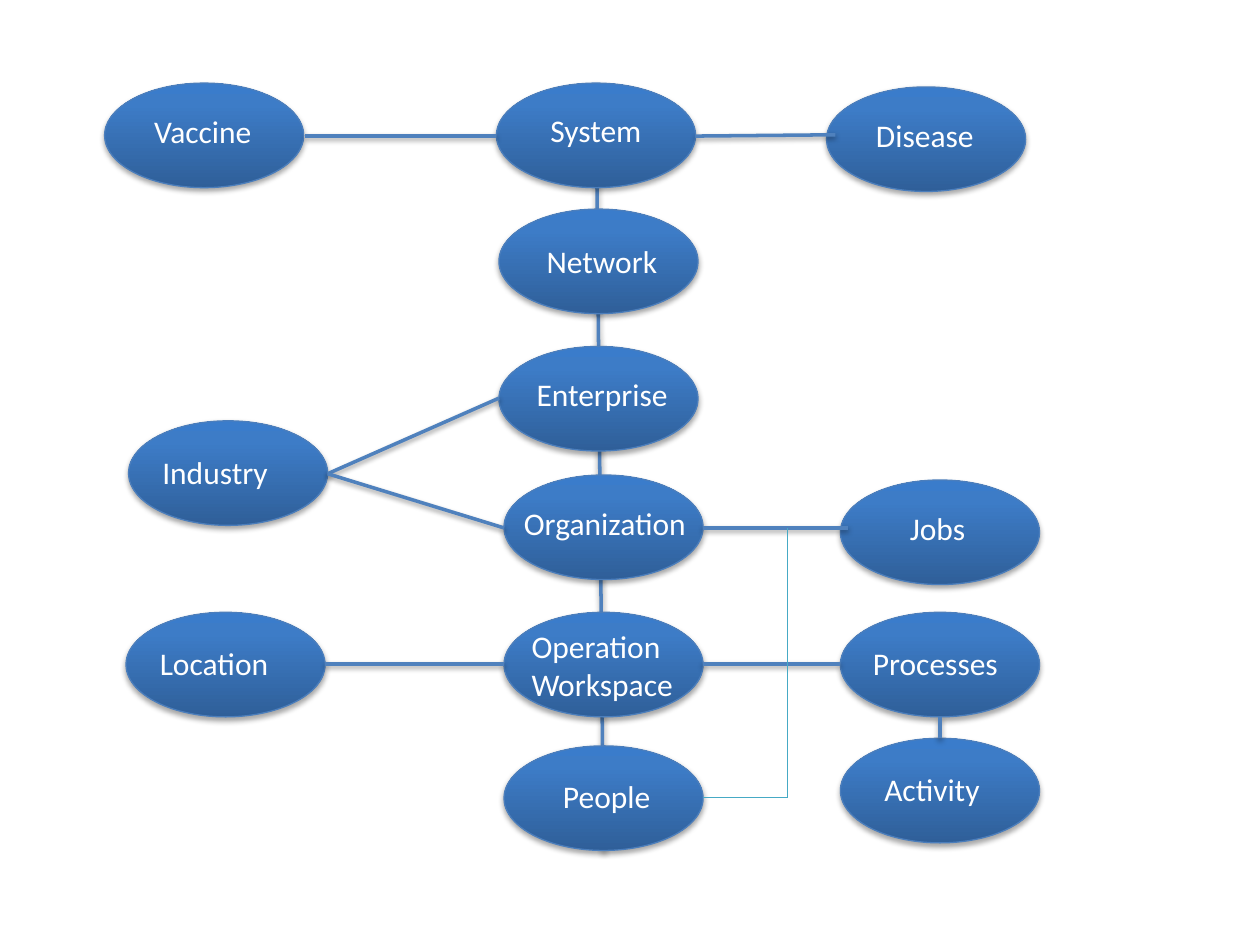
from lxml import etree
from pptx import Presentation
from pptx.dml.color import RGBColor
from pptx.enum.shapes import MSO_CONNECTOR as CONNECTOR, MSO_SHAPE as SHAPE
from pptx.enum.text import MSO_AUTO_SIZE as AUTO_SIZE, PP_ALIGN as ALIGN
from pptx.oxml import parse_xml
from pptx.oxml.ns import nsdecls, qn
from pptx.util import Inches, Pt

WHITE = RGBColor(0xFF, 0xFF, 0xFF)
BLACK = RGBColor(0x00, 0x00, 0x00)
OUTLINE = RGBColor(0x4B, 0x7E, 0xBC)
LINK = RGBColor(0x4F, 0x81, 0xBD)
THIN_LINK = RGBColor(0x46, 0xAA, 0xC5)
GRADIENT = [
    (0, RGBColor(0x2F, 0x5F, 0x99)),
    (80, RGBColor(0x3D, 0x7C, 0xC7)),
    (100, RGBColor(0x3A, 0x7C, 0xCB)),
]
NODE_W, NODE_H = 1.58, 0.83


def set_shadow(shape, distance=0, opacity=0):
    """Replace the theme effects with a downward shadow, or none at distance 0."""
    effects = etree.SubElement(shape._element.spPr, qn("a:effectLst"))
    if distance:
        effects.append(parse_xml(
            f'<a:outerShdw {nsdecls("a")} blurRad="{Pt(3.1)}" dist="{Pt(distance)}" '
            f'dir="5400000" rotWithShape="0"><a:srgbClr val="{BLACK}">'
            f'<a:alpha val="{opacity * 1000}"/></a:srgbClr></a:outerShdw>'))


def add_link(start, end, color=LINK, width=2):
    link = slide.shapes.add_connector(
        CONNECTOR.STRAIGHT, *(Inches(v) for v in (*start, *end)))
    link.line.color.rgb = color
    link.line.width = Pt(width)
    if color == LINK:
        set_shadow(link, 1.6, 38)
    else:
        set_shadow(link)


prs = Presentation()
prs.slide_width, prs.slide_height = Inches(10), Inches(7.5)
slide = prs.slides.add_slide(prs.slide_layouts[6])

# The spine runs behind the central column of nodes
add_link((4.73, 0.66), (4.79, 6.75))

# Name, node left and top, label left, top and width, alignment, wrap
nodes = [
    ("System", 3.94, 0.66, 4.27, 0.83, 0.93, ALIGN.LEFT, False),
    ("Network", 3.96, 1.66, 4.24, 1.87, 1.09, ALIGN.LEFT, False),
    ("Enterprise", 3.96, 2.75, 4.16, 2.93, 1.25, ALIGN.LEFT, False),
    ("Organization", 4, 3.77, 4.06, 3.95, 1.5, ALIGN.LEFT, False),
    ("Industry", 1.02, 3.34, 1.19, 3.55, 1.23, ALIGN.LEFT, True),
    ("Operation Workspace", 4, 4.86, 4.12, 4.93, 1.38, ALIGN.LEFT, True),
    ("Processes", 6.67, 4.86, 6.83, 5.06, 1.23, ALIGN.LEFT, True),
    ("Activity", 6.67, 5.86, 6.92, 6.06, 1.23, ALIGN.LEFT, True),
    ("Location", 1, 4.86, 1.17, 5.06, 1.23, ALIGN.LEFT, True),
    ("People", 4, 5.92, 4.2, 6.12, 1.23, ALIGN.CENTER, True),
    ("Jobs", 6.67, 3.81, 6.73, 3.99, 1.42, ALIGN.CENTER, True),
    ("Disease", 6.56, 0.69, 6.63, 0.87, 1.42, ALIGN.CENTER, True),
    ("Vaccine", 0.83, 0.66, 0.9, 0.84, 1.42, ALIGN.CENTER, True),
]
stops = "".join(
    f'<a:gs pos="{position * 1000}"><a:srgbClr val="{color}"/></a:gs>'
    for position, color in GRADIENT)
font_format = {"name": "Calibri", "size": Pt(18)}

for name, left, top, label_left, label_top, label_width, align, wrap in nodes:
    node = slide.shapes.add_shape(
        SHAPE.OVAL, *(Inches(v) for v in (left, top, NODE_W, NODE_H)))
    node.line.color.rgb = OUTLINE
    node.line.width = Pt(0.75)
    node._element.spPr.find(qn("a:prstGeom")).addnext(parse_xml(
        f'<a:gradFill {nsdecls("a")} rotWithShape="1"><a:gsLst>{stops}</a:gsLst>'
        '<a:lin ang="16200000" scaled="0"/></a:gradFill>'))
    set_shadow(node, 1.8, 35)

    label_height = 0.71 if " " in name else 0.4
    label = slide.shapes.add_textbox(
        *(Inches(v) for v in (label_left, label_top, label_width, label_height)))
    frame = label.text_frame
    frame.word_wrap = wrap
    frame.auto_size = AUTO_SIZE.SHAPE_TO_FIT_TEXT
    paragraph = frame.paragraphs[0]
    paragraph.alignment = align
    run = paragraph.add_run()
    run.text = name
    run.font.color.rgb = WHITE
    for attribute, value in font_format.items():
        setattr(run.font, attribute, value)

links = [
    ((5.52, 1.08), (6.63, 1.07)),  # System - Disease
    ((3.94, 1.08), (2.42, 1.08)),  # System - Vaccine
    ((3.96, 3.16), (2.6, 3.76)),   # Enterprise - Industry
    ((5.58, 4.19), (6.73, 4.19)),  # Organization - Jobs
    ((5.58, 5.27), (6.67, 5.27)),  # Operation Workspace - Processes
    ((2.6, 3.76), (4, 4.19)),      # Industry - Organization
    ((4, 5.27), (2.58, 5.27)),     # Operation Workspace - Location
    ((7.46, 5.69), (7.46, 5.86)),  # Processes - Activity
]
for start, end in links:
    add_link(start, end)

# People branch off the Organization - Jobs link
people_route = [(6.25, 4.19), (6.25, 6.33), (5.58, 6.33)]
for start, end in zip(people_route, people_route[1:]):
    add_link(start, end, THIN_LINK, 0.75)

prs.save("out.pptx")
